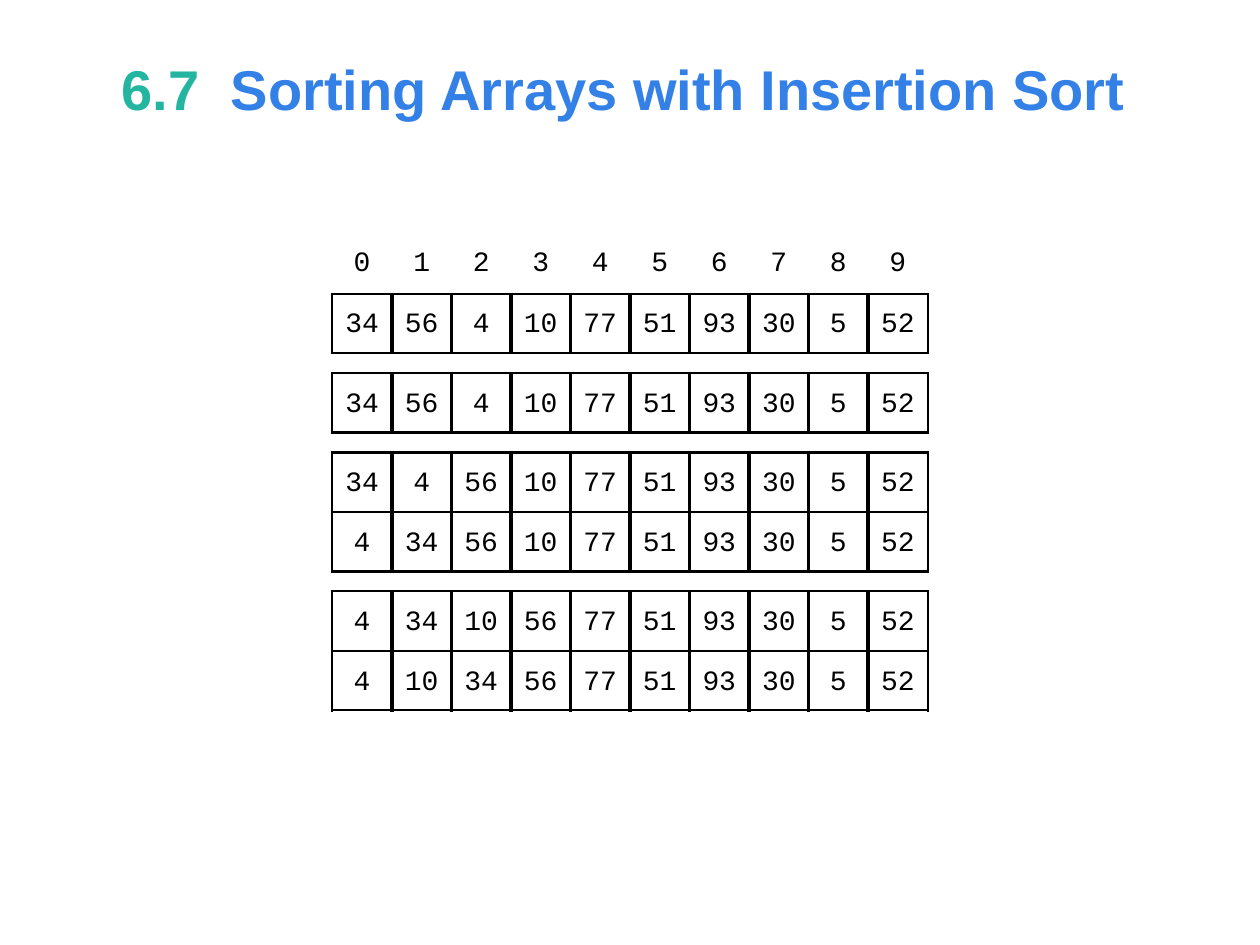
from dataclasses import dataclass
from itertools import accumulate

from lxml.etree import SubElement
from pptx import Presentation
from pptx.dml.color import RGBColor as Rgb
from pptx.enum.text import MSO_ANCHOR as Anchor, PP_ALIGN as Align
from pptx.oxml.ns import qn
from pptx.util import Cm, Pt


@dataclass(frozen=True)
class Theme:
    ink: str = "000000"
    paper: str = "FFFFFF"
    number: str = "24B5A1"
    heading: str = "3380E6"
    heading_font: str = "Arial"
    value_font: str = "Courier New"
    heading_size: int = 32
    value_size: int = 16
    thin: float = 1.5
    thick: float = 2.25


THEME = Theme()
CELL = 1.2
PASS_GAP = 0.4
INDEXES = range(10)
PASSES = [
    [[34, 56, 4, 10, 77, 51, 93, 30, 5, 52]],
    [[34, 56, 4, 10, 77, 51, 93, 30, 5, 52]],
    [[34, 4, 56, 10, 77, 51, 93, 30, 5, 52],
     [4, 34, 56, 10, 77, 51, 93, 30, 5, 52]],
    [[4, 34, 10, 56, 77, 51, 93, 30, 5, 52],
     [4, 10, 34, 56, 77, 51, 93, 30, 5, 52]],
]


def apply_format(target, values):
    for name, value in values.items():
        setattr(target, name, value)


def format_font(font, face, size, color, bold):
    apply_format(font, {"name": face, "size": Pt(size), "bold": bold})
    font.color.rgb = Rgb.from_string(color)


def draw_borders(cell, widths):
    properties = cell._tc.get_or_add_tcPr()
    for side, width in zip("LRTB", widths):
        border = SubElement(properties, qn(f"a:ln{side}"), w=str(Pt(width)))
        if width:
            fill = SubElement(border, qn("a:solidFill"))
            SubElement(fill, qn("a:srgbClr"), val=THEME.ink)
        else:
            SubElement(border, qn("a:noFill"))


def fill_cell(cell, value, bottom_margin):
    apply_format(cell, {
        "text": str(value),
        "vertical_anchor": Anchor.MIDDLE,
        "margin_left": Cm(0.2),
        "margin_right": Cm(0.2),
        "margin_top": Cm(0.13),
        "margin_bottom": Cm(bottom_margin),
    })
    paragraph = cell.text_frame.paragraphs[0]
    paragraph.alignment = Align.CENTER
    format_font(paragraph.runs[0].font, THEME.value_font, THEME.value_size,
                THEME.ink, False)


def add_index_cell(cell, index):
    fill_cell(cell, index, 0.13)
    draw_borders(cell, (0, 0, 0, THEME.thin))
    cell.fill.background()


def add_value_cell(cell, value, is_first, is_last):
    fill_cell(cell, value, 0.05)
    left = THEME.thin if is_first else THEME.thick
    right = THEME.thin if is_last else THEME.thick
    draw_borders(cell, (left, right, THEME.thin, THEME.thin))
    cell.fill.solid()
    cell.fill.fore_color.rgb = Rgb.from_string(THEME.paper)


def add_array(slide, left, top, values, indexes=()):
    row_count = 2 if indexes else 1
    array = slide.shapes.add_table(
        row_count, len(values), Cm(left), Cm(top),
        Cm(CELL * len(values)), Cm(CELL * row_count)).table
    apply_format(array, {"first_row": False, "horz_banding": False})
    for track in array.columns:
        track.width = Cm(CELL)
    for track in array.rows:
        track.height = Cm(CELL)
    for column, index in enumerate(indexes):
        add_index_cell(array.cell(0, column), index)
    last = len(values) - 1
    for column, value in enumerate(values):
        add_value_cell(array.cell(row_count - 1, column), value,
                       column == 0, column == last)


def add_sort_passes(slide, left, top):
    heights = [CELL * len(steps) + PASS_GAP for steps in PASSES]
    offsets = accumulate(heights[:-1], initial=top + CELL)
    for number, (pass_top, steps) in enumerate(zip(offsets, PASSES)):
        for step, values in enumerate(steps):
            row_top = pass_top + step * CELL
            if number == 0:
                add_array(slide, left, row_top - CELL, values, INDEXES)
            else:
                add_array(slide, left, row_top, values)


def add_heading(slide, left, top, width, height):
    heading = slide.shapes.title
    apply_format(heading, {"left": Cm(left), "top": Cm(top),
                           "width": Cm(width), "height": Cm(height)})
    heading.text_frame.vertical_anchor = Anchor.MIDDLE
    paragraph = heading.text_frame.paragraphs[0]
    paragraph.alignment = Align.LEFT
    for words, color in (("6.7  ", THEME.number),
                         ("Sorting Arrays with Insertion Sort", THEME.heading)):
        run = paragraph.add_run()
        run.text = words
        format_font(run.font, THEME.heading_font, THEME.heading_size, color, True)


def main():
    deck = Presentation()
    apply_format(deck, {"slide_width": Cm(25.4), "slide_height": Cm(19.05)})
    slide = deck.slides.add_slide(deck.slide_layouts.get_by_name("Title Only"))
    add_heading(slide, 2.2, 0.53, 21, 2.5)
    add_sort_passes(slide, 6.7, 4.72)
    deck.save("out.pptx")


if __name__ == "__main__":
    main()
